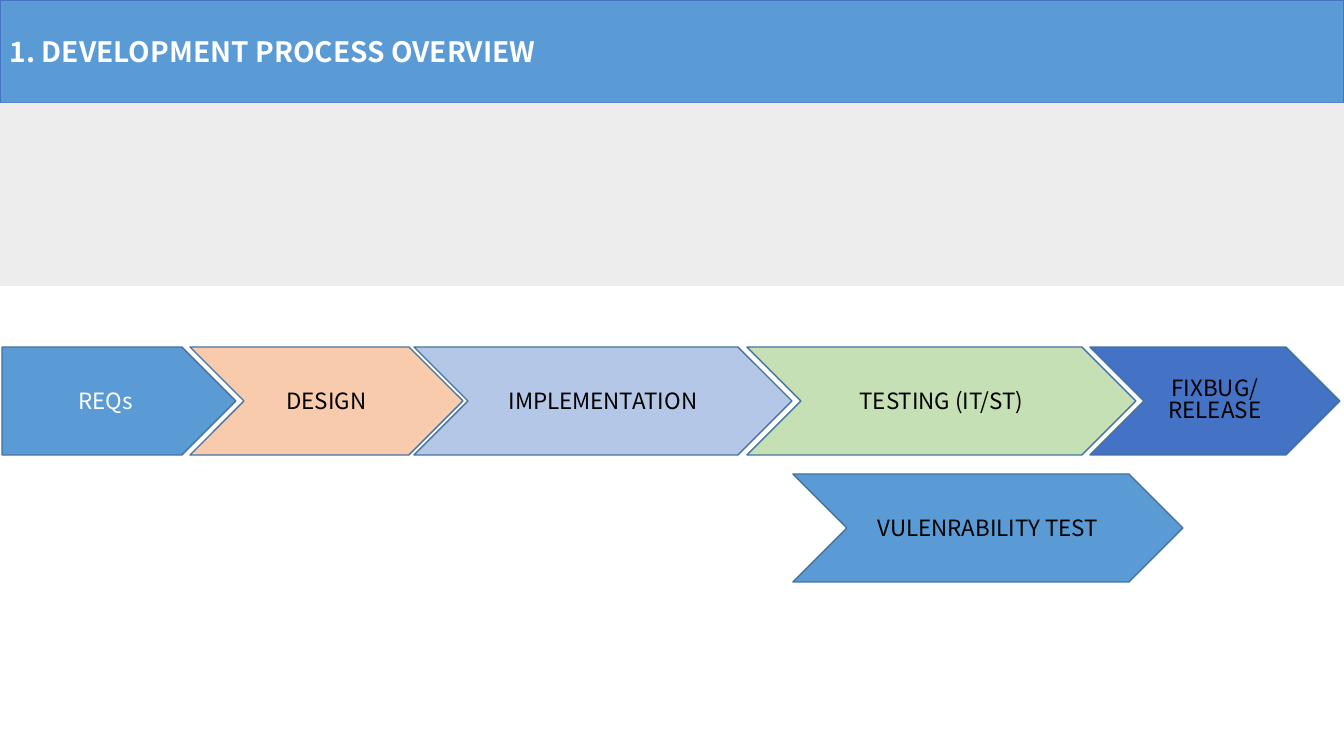
from dataclasses import dataclass

from pptx import Presentation
from pptx.dml.color import RGBColor
from pptx.enum.shapes import MSO_SHAPE as Preset
from pptx.enum.text import MSO_ANCHOR as Anchor, PP_ALIGN as Align
from pptx.util import Emu, Pt

EMU_PER_PX = 914400 / 100.8
SLIDE_WIDTH, SLIDE_HEIGHT = 1344, 756
FONT = "Noto Sans CJK JP"
BLUE, DARK_BLUE, WHITE, BLACK = "5B9BD5", "4472C4", "FFFFFF", "000000"
TITLE_HEIGHT, BAND_HEIGHT = 103, 183
PHASE_HEIGHT, MAIN_ROW, LOWER_ROW = 108, 347, 474


@dataclass(frozen=True)
class Block:
    left: int
    top: int
    width: int
    height: int
    fill: str
    preset: Preset = Preset.RECTANGLE
    line: str | None = None


@dataclass(frozen=True)
class Label:
    lines: tuple[str, ...]
    size: int = 16
    color: str = BLACK
    bold: bool = False
    align: Align = Align.CENTER


@dataclass(frozen=True)
class Phase:
    lines: tuple[str, ...]
    left: int
    width: int
    fill: str
    top: int = MAIN_ROW
    preset: Preset = Preset.CHEVRON
    color: str = BLACK


PHASES = (
    Phase(("REQs",), 2, 234, BLUE, preset=Preset.PENTAGON, color=WHITE),
    Phase(("DESIGN",), 190, 273, "F8CBAD"),
    Phase(("IMPLEMENTATION",), 414, 378, "B4C7E7"),
    Phase(("TESTING (IT/ST)",), 747, 389, "C5E0B4"),
    Phase(("VULENRABILITY TEST",), 793, 390, BLUE, top=LOWER_ROW),
    Phase(("FIXBUG/", "RELEASE"), 1090, 250, DARK_BLUE),
)


def px(length: int) -> Emu:
    return Emu(round(length * EMU_PER_PX))


def rgb(color: str) -> RGBColor:
    return RGBColor.from_string(color)


def write_label(shape, label: Label) -> None:
    frame = shape.text_frame
    frame.word_wrap = True
    frame.vertical_anchor = Anchor.MIDDLE
    font_format = {"name": FONT, "size": Pt(label.size), "bold": label.bold}
    for index, line in enumerate(label.lines):
        paragraph = frame.add_paragraph() if index else frame.paragraphs[0]
        paragraph.alignment = label.align
        if len(label.lines) > 1:
            paragraph.line_spacing = 0.8
        run = paragraph.add_run()
        run.text = line
        for name, value in font_format.items():
            setattr(run.font, name, value)
        run.font.color.rgb = rgb(label.color)


def draw_block(slide, block: Block, label: Label | None = None) -> None:
    bounds = map(px, (block.left, block.top, block.width, block.height))
    shape = slide.shapes.add_shape(block.preset, *bounds)
    shape.shadow.inherit = False
    shape.fill.solid()
    shape.fill.fore_color.rgb = rgb(block.fill)
    if block.line:
        shape.line.color.rgb = rgb(block.line)
        shape.line.width = Pt(1)
    else:
        shape.line.fill.background()
    if label:
        write_label(shape, label)


def draw_phase(slide, phase: Phase) -> None:
    block = Block(phase.left, phase.top, phase.width, PHASE_HEIGHT,
                  phase.fill, phase.preset, "43739E")
    draw_block(slide, block, Label(phase.lines, color=phase.color))


def main() -> None:
    presentation = Presentation()
    presentation.slide_width = px(SLIDE_WIDTH)
    presentation.slide_height = px(SLIDE_HEIGHT)
    slide = presentation.slides.add_slide(presentation.slide_layouts[6])

    title = Label(("1. DEVELOPMENT PROCESS OVERVIEW",), 20, WHITE, True, Align.LEFT)
    draw_block(slide, Block(0, 0, SLIDE_WIDTH, TITLE_HEIGHT, BLUE, line=DARK_BLUE), title)
    draw_block(slide, Block(0, TITLE_HEIGHT, SLIDE_WIDTH, BAND_HEIGHT, "EDEDED"))
    for phase in PHASES:
        draw_phase(slide, phase)

    presentation.save("out.pptx")


if __name__ == "__main__":
    main()
